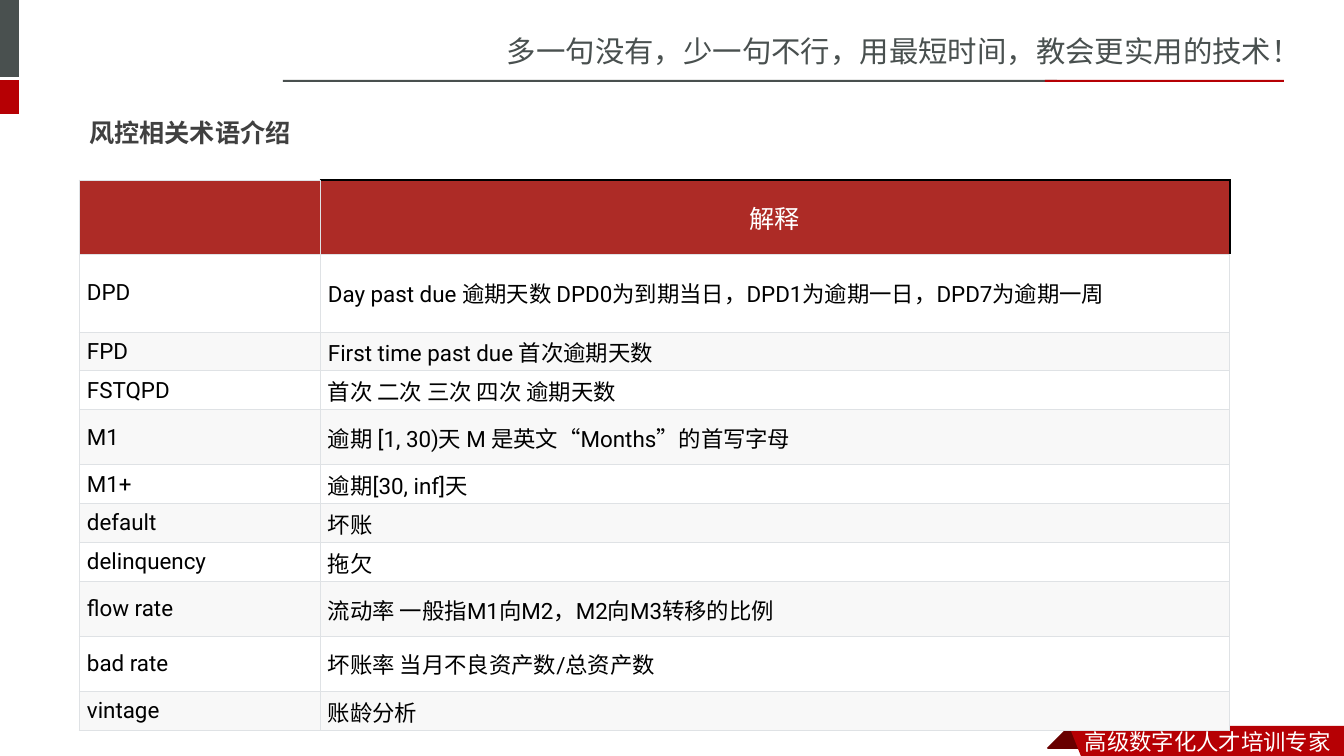
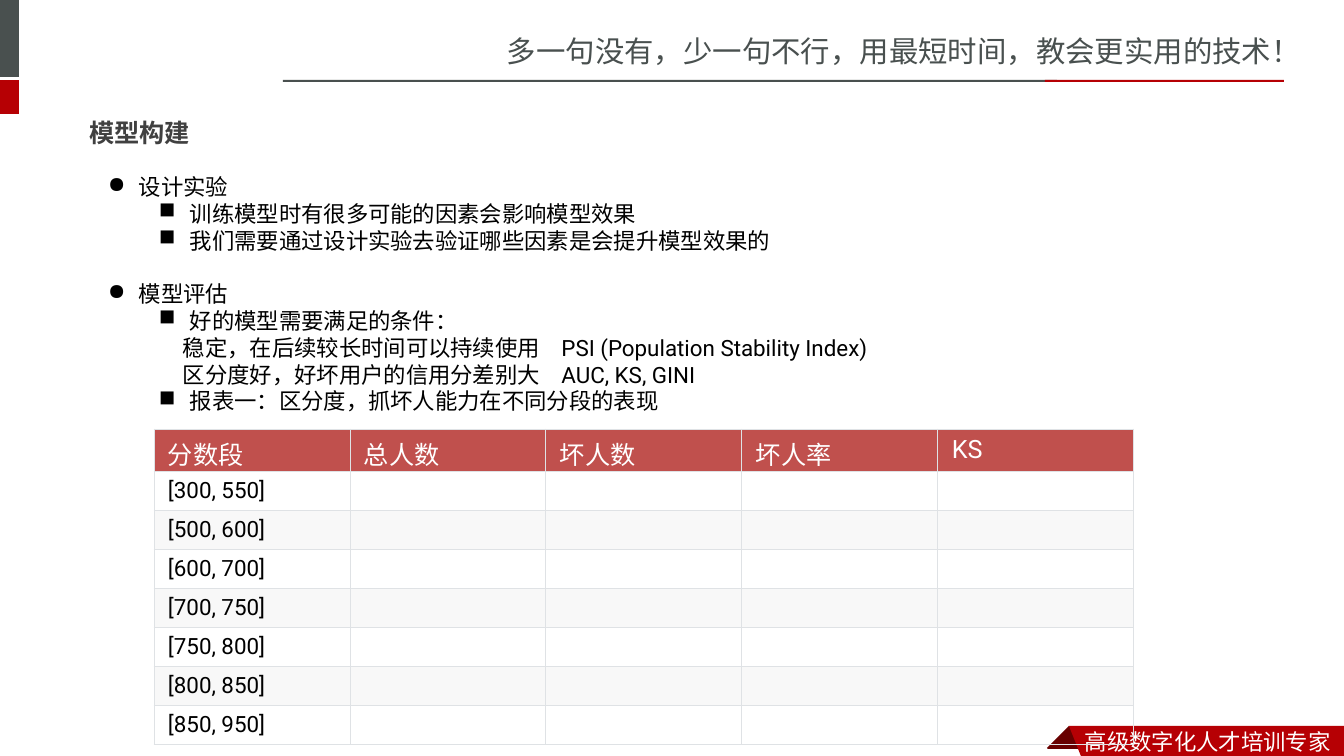
from lxml import etree
from pptx import Presentation
from pptx.dml.color import RGBColor
from pptx.enum.lang import MSO_LANGUAGE_ID
from pptx.enum.shapes import MSO_SHAPE
from pptx.enum.text import MSO_ANCHOR, MSO_AUTO_SIZE, PP_ALIGN
from pptx.oxml.ns import qn
from pptx.util import Emu, Pt

EMU_PER_PX = 914400 / 100.8
SLIDE_WIDTH, SLIDE_HEIGHT = 1344, 756

SLATE = RGBColor(0x49, 0x50, 0x4F)
RED = RGBColor(0xB6, 0x00, 0x04)
DARK_RED = RGBColor(0x68, 0x00, 0x00)
BRICK = RGBColor(0xAD, 0x2B, 0x26)
CORAL = RGBColor(0xC0, 0x50, 0x4D)
TITLE_GRAY = RGBColor(0x40, 0x40, 0x40)
BAND_GRAY = RGBColor(0xF8, 0xF8, 0xF8)
BORDER_GRAY = RGBColor(0xDF, 0xE2, 0xE5)
WHITE = RGBColor(0xFF, 0xFF, 0xFF)
BLACK = RGBColor(0x00, 0x00, 0x00)

LATIN_FONT = "Roboto"
CHINESE_FONT = "Noto Sans CJK SC"
TITLE_FONT = "Noto Sans CJK JP"

CHINESE = MSO_LANGUAGE_ID.SIMPLIFIED_CHINESE
RECTANGLE = MSO_SHAPE.RECTANGLE
MIDDLE = MSO_ANCHOR.MIDDLE
NO_AUTOFIT = MSO_AUTO_SIZE.NONE
LEFT, CENTER = PP_ALIGN.LEFT, PP_ALIGN.CENTER

TERMS = [
    ("", "解释"),
    ("DPD", "Day past due 逾期天数 DPD0为到期当日，DPD1为逾期一日，DPD7为逾期一周"),
    ("FPD", "First time past due 首次逾期天数"),
    ("FSTQPD", "首次 二次 三次 四次 逾期天数"),
    ("M1", "逾期 [1, 30)天 M 是英文“Months”的首写字母"),
    ("M1+", "逾期[30, inf]天"),
    ("default", "坏账"),
    ("delinquency", "拖欠"),
    ("flow rate", "流动率 一般指M1向M2，M2向M3转移的比例"),
    ("bad rate", "坏账率 当月不良资产数/总资产数"),
    ("vintage", "账龄分析"),
]
TERM_ROW_HEIGHTS = [74, 78, 39, 39, 55, 39, 39, 39, 55, 55, 39]

SCORE_HEADINGS = ("分数段", "总人数", "坏人数", "坏人率", "KS")
SCORE_RANGES = ["[300, 550]", "[500, 600]", "[600, 700]", "[700, 750]",
                "[750, 800]", "[800, 850]", "[850, 950]"]

OUTLINE = [
    ("topic", "设计实验"),
    ("point", "训练模型时有很多可能的因素会影响模型效果"),
    ("point", "我们需要通过设计实验去验证哪些因素是会提升模型效果的"),
    ("topic", "模型评估"),
    ("point", "好的模型需要满足的条件："),
    ("detail", "稳定，在后续较长时间可以持续使用\tPSI (Population Stability Index)"),
    ("detail", "区分度好，好坏用户的信用分差别大\tAUC, KS, GINI"),
    ("point", "报表一：区分度，抓坏人能力在不同分段的表现"),
]
OUTLINE_STYLES = {
    "topic": (31, -31, "●"),
    "point": (82, -31, "■"),
    "detail": (0, 75, None),
}
DETAIL_TAB = 463


def px(length):
    return Emu(round(length * EMU_PER_PX))


def add_run(paragraph, text, size, color, font=LATIN_FONT,
            chinese_font=CHINESE_FONT, bold=False):
    run = paragraph.add_run()
    run.text = text
    run.font.name = font
    run.font.size = Pt(size)
    run.font.bold = bold
    run.font.color.rgb = color
    run.font.language_id = CHINESE
    latin = run.font._element.find(qn("a:latin"))
    east_asian = etree.Element(qn("a:ea"), typeface=chinese_font)
    latin.addnext(east_asian)


def add_textbox(slide, left, top, width, height):
    textbox = slide.shapes.add_textbox(px(left), px(top), px(width), px(height))
    textbox.text_frame.word_wrap = True
    return textbox.text_frame


def paint(shape, color):
    shape.shadow.inherit = False
    shape.fill.solid()
    shape.fill.fore_color.rgb = color
    shape.line.fill.background()


def add_block(slide, left, top, width, height, color):
    paint(slide.shapes.add_shape(RECTANGLE, px(left), px(top), px(width),
                                 px(height)), color)


def add_outline_shape(slide, left, top, points, color):
    corners = [(left + x, top + y) for x, y in points]
    builder = slide.shapes.build_freeform(*corners[0], scale=EMU_PER_PX)
    builder.add_line_segments(corners[1:], close=True)
    paint(builder.convert_to_shape(), color)


def add_header(slide, left, top):
    add_block(slide, 0, 0, 19, 77, SLATE)
    add_block(slide, 0, 80, 19, 34, RED)
    add_block(slide, left, top + 52, 774, 2, SLATE)
    add_block(slide, left + 762, top + 52, 239, 2, RED)
    slogan = add_textbox(slide, left + 214, top, 847, 45)
    add_run(slogan.paragraphs[0], "多一句没有，少一句不行，用最短时间，教会更实用的技术！",
            21, SLATE, CHINESE_FONT)


def add_footer(slide, left, top):
    add_outline_shape(slide, left, top,
                      [(22, 0), (45, 22), (44, 23), (1, 23), (0, 22)], DARK_RED)
    add_outline_shape(slide, left, top,
                      [(22, 0), (297, 0), (297, 30), (34, 30)], RED)
    motto = add_textbox(slide, left + 28, top - 3, 269, 37)
    add_run(motto.paragraphs[0], "高级数字化人才培训专家", 16, WHITE, CHINESE_FONT)


def add_titled_slide(presentation, title_text):
    slide = presentation.slides.add_slide(presentation.slide_layouts[5])
    add_header(slide, 283, 28)
    add_footer(slide, 1047, 726)
    title = slide.shapes.title
    title.left, title.top = px(79), px(104)
    title.width, title.height = px(1185), px(57)
    frame = title.text_frame
    frame.auto_size = NO_AUTOFIT
    frame.vertical_anchor = MIDDLE
    frame.paragraphs[0].alignment = LEFT
    add_run(frame.paragraphs[0], title_text, 18, TITLE_GRAY, TITLE_FONT,
            TITLE_FONT, bold=True)
    return slide


def set_borders(cell, black_sides=""):
    properties = cell._tc.get_or_add_tcPr()
    for side in "LRTB":
        color = BLACK if side in black_sides else BORDER_GRAY
        width = Pt(1.5) if side in black_sides else Pt(0.75)
        line = etree.SubElement(properties, qn(f"a:ln{side}"), w=str(width))
        fill = etree.SubElement(line, qn("a:solidFill"))
        etree.SubElement(fill, qn("a:srgbClr"), val=str(color))


def fill_cell(cell, text, size, color, fill_color, margins, alignment):
    if fill_color is None:
        cell.fill.background()
    else:
        cell.fill.solid()
        cell.fill.fore_color.rgb = fill_color
    side_margin, end_margin = margins
    cell.margin_left = cell.margin_right = px(side_margin)
    cell.margin_top = cell.margin_bottom = px(end_margin if text else 0)
    cell.vertical_anchor = MIDDLE
    if text:
        paragraph = cell.text_frame.paragraphs[0]
        paragraph.alignment = alignment
        add_run(paragraph, text, size, color)


def add_grid(slide, left, top, widths, heights, rows, header_color, margins,
             header_alignment=LEFT, black_header_sides=""):
    frame = slide.shapes.add_table(len(rows), len(widths), px(left), px(top),
                                   px(sum(widths)), px(sum(heights)))
    table = frame.table
    table.first_row = table.horz_banding = False
    for column, width in zip(table.columns, widths):
        column.width = px(width)
    for index, (row, height, texts) in enumerate(zip(table.rows, heights, rows)):
        row.height = px(height)
        if index == 0:
            style = 18, WHITE, header_color, margins, header_alignment
        else:
            band = BAND_GRAY if index % 2 == 0 else None
            style = 16, BLACK, band, margins, LEFT
        for cell, text in zip(row.cells, texts):
            is_black_edged = index == 0 and cell is not None and text
            set_borders(cell, black_header_sides if is_black_edged else "")
            fill_cell(cell, text, *style)


def add_outline(slide, left, top, width, height):
    frame = add_textbox(slide, left, top, width, height)
    for index, (kind, text) in enumerate(OUTLINE):
        paragraph = frame.paragraphs[0] if index == 0 else frame.add_paragraph()
        margin, indent, bullet = OUTLINE_STYLES[kind]
        properties = paragraph._p.get_or_add_pPr()
        properties.set("marL", str(px(margin)))
        properties.set("indent", str(px(indent)))
        if bullet:
            etree.SubElement(properties, qn("a:buChar"), char=bullet)
        else:
            etree.SubElement(properties, qn("a:buNone"))
            tabs = etree.SubElement(properties, qn("a:tabLst"))
            etree.SubElement(tabs, qn("a:tab"), pos=str(px(DETAIL_TAB)), algn="l")
        if kind == "topic" and index > 0:
            paragraph.space_before = Pt(19)
        if kind != "topic":
            paragraph.level = 1
        add_run(paragraph, text, 16, BLACK)


def build_terms_slide(presentation):
    slide = add_titled_slide(presentation, "风控相关术语介绍")
    add_grid(slide, 79, 180, [241, 910], TERM_ROW_HEIGHTS, TERMS, BRICK, (8, 4),
             CENTER, "RT")


def build_model_slide(presentation):
    slide = add_titled_slide(presentation, "模型构建")
    add_outline(slide, 98, 168, 821, 256)
    rows = [SCORE_HEADINGS] + [(score, "", "", "", "") for score in SCORE_RANGES]
    add_grid(slide, 154, 429, [196] * 5, [42] + [39] * 7, rows, CORAL, (14, 6))


def main():
    presentation = Presentation()
    presentation.slide_width = px(SLIDE_WIDTH)
    presentation.slide_height = px(SLIDE_HEIGHT)
    build_terms_slide(presentation)
    build_model_slide(presentation)
    presentation.save("out.pptx")


if __name__ == "__main__":
    main()
